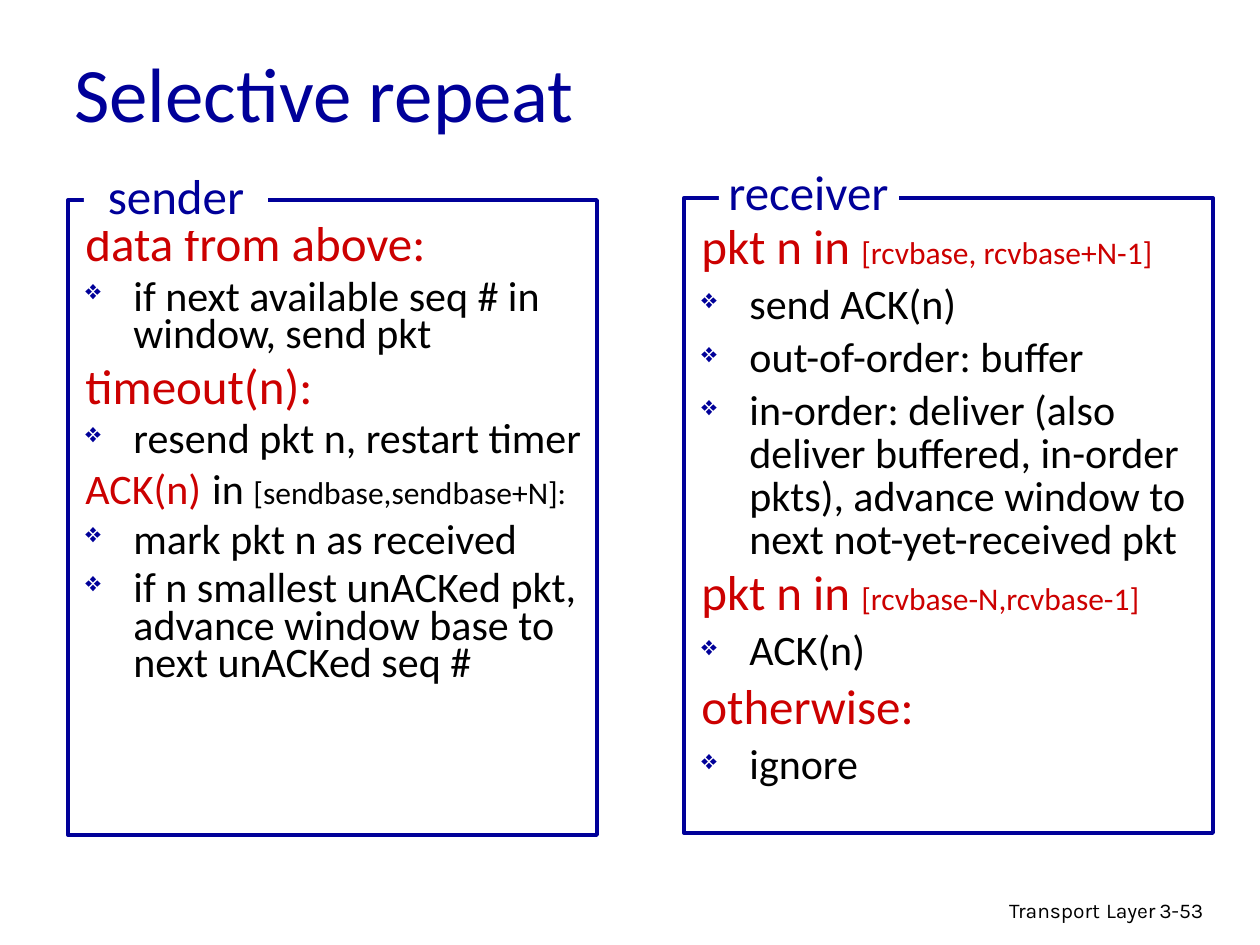
from lxml.etree import SubElement
from pptx import Presentation
from pptx.dml.color import RGBColor
from pptx.enum.shapes import MSO_SHAPE as SHAPE
from pptx.enum.text import MSO_ANCHOR as ANCHOR, PP_ALIGN as ALIGN
from pptx.oxml.ns import qn
from pptx.util import Emu, Pt

PX = 914400 // 126
BLUE, RED, BLACK, WHITE = "000099", "CC0000", "000000", "FFFFFF"
INDENT = 48

SENDER = [
    ("head", 0, [("data from above:", 28, RED)]),
    ("item", 6, "if next available seq # in window, send pkt"),
    ("head", 7, [("timeout(n):", 28, RED)]),
    ("item", 6, "resend pkt n, restart timer"),
    ("head", 4.5, [("ACK(n)", 24, RED), (" ", 28, RED), ("in ", 24, BLACK),
                   ("[sendbase,sendbase+N]:", 18, BLACK)]),
    ("item", 6, "mark pkt n as received"),
    ("item", 6, "if n smallest unACKed pkt, advance window base to next unACKed seq #"),
]
RECEIVER = [
    ("head", 0, [("pkt n in ", 28, RED), ("[rcvbase, rcvbase+N-1]", 18, RED)]),
    ("item", 6, "send ACK(n)"),
    ("item", 6, "out-of-order: buffer"),
    ("item", 6, "in-order: deliver (also deliver buffered, in-order pkts), "
                "advance window to next not-yet-received pkt"),
    ("head", 4.5, [("pkt n in ", 28, RED), ("[rcvbase-N,rcvbase-1]", 18, RED)]),
    ("item", 6, "ACK(n)"),
    ("head", 6, [("otherwise:", 28, RED)]),
    ("item", 6, "ignore"),
]


def rgb(value):
    """Turn a hex string into a colour."""
    return RGBColor.from_string(value)


def place(box):
    """Turn left, top, width, height in px into EMU."""
    return [Emu(v * PX) for v in box]


def add_runs(p, runs, font="Calibri"):
    """Append (text, size, colour) runs to a paragraph."""
    for text, size, color in runs:
        r = p.add_run()
        r.text = text
        r.font.name, r.font.size = font, Pt(size)
        r.font.color.rgb = rgb(color)


def add_text(s, box, text, size=24, color=BLACK, font="Calibri",
             align=ALIGN.LEFT, anchor=ANCHOR.TOP, wrap=True):
    """Add a one-paragraph text box; text is a string or a list of runs."""
    tf = s.shapes.add_textbox(*place(box)).text_frame
    tf.word_wrap, tf.vertical_anchor = wrap, anchor
    p = tf.paragraphs[0]
    p.alignment = align
    add_runs(p, [(text, size, color)] if isinstance(text, str) else text, font)


def add_rect(s, box, fill=None, line=None):
    """Add a plain rectangle with an optional fill and outline."""
    sp = s.shapes.add_shape(SHAPE.RECTANGLE, *place(box))
    sp.shadow.inherit = False
    if fill:
        sp.fill.solid()
        sp.fill.fore_color.rgb = rgb(fill)
    else:
        sp.fill.background()
    if line:
        sp.line.color.rgb = rgb(line)
        sp.line.width = Pt(2.25)
    else:
        sp.line.fill.background()


def set_indent(p, bullet):
    """Give a paragraph a hanging indent and, if asked, a diamond bullet."""
    pPr = p._p.get_or_add_pPr()
    pPr.set("marL", str(INDENT * PX))
    pPr.set("indent", str(-INDENT * PX))
    if bullet:
        clr = SubElement(pPr, qn("a:buClr"))
        SubElement(clr, qn("a:srgbClr"), val=BLUE)
        SubElement(pPr, qn("a:buSzPct"), val="65000")
        SubElement(pPr, qn("a:buChar"), char="❖")


def add_events(s, box, events, spacing):
    """Add the list of events and actions of one side."""
    tf = s.shapes.add_textbox(*place(box)).text_frame
    tf.word_wrap = True
    for i, (kind, before, content) in enumerate(events):
        p = tf.add_paragraph() if i else tf.paragraphs[0]
        set_indent(p, kind == "item")
        p.line_spacing, p.space_before = spacing, Pt(before)
        add_runs(p, [(content, 24, BLACK)] if kind == "item" else content)


def add_panel(s, left, top, title, events, spacing, patch, label):
    """Add a framed event list whose title interrupts the top edge."""
    add_events(s, (left + 5, top + 20, 525, 640), events, spacing)
    add_rect(s, (left, top, 529, 635), line=BLUE)
    add_rect(s, patch, fill=WHITE)
    add_text(s, label, title, size=28, color=BLUE, align=ALIGN.CENTER, wrap=False)


def main():
    """Build the slide."""
    prs = Presentation()
    prs.slide_width, prs.slide_height = Emu(1260 * PX), Emu(945 * PX)
    s = prs.slides.add_slide(prs.slide_layouts[6])
    add_text(s, (769, 888, 399, 39),
             [("Transport", 12, BLACK), (" ", 14, BLACK), ("Layer", 12, BLACK)],
             font="Karla", align=ALIGN.RIGHT)
    add_text(s, (1147, 891, 93, 38), "3-53", size=12, font="Karla")
    add_text(s, (62, 34, 1071, 116), "Selective repeat", size=44, color=BLUE,
             anchor=ANCHOR.MIDDLE)
    sender_label = (84, 159, 184, 72)
    add_panel(s, 68, 200, "sender", SENDER, 0.75, sender_label, sender_label)
    add_panel(s, 684, 198, "receiver", RECEIVER, 0.85,
              (719, 179, 180, 39), (704, 155, 209, 72))
    prs.save("out.pptx")


if __name__ == "__main__":
    main()
